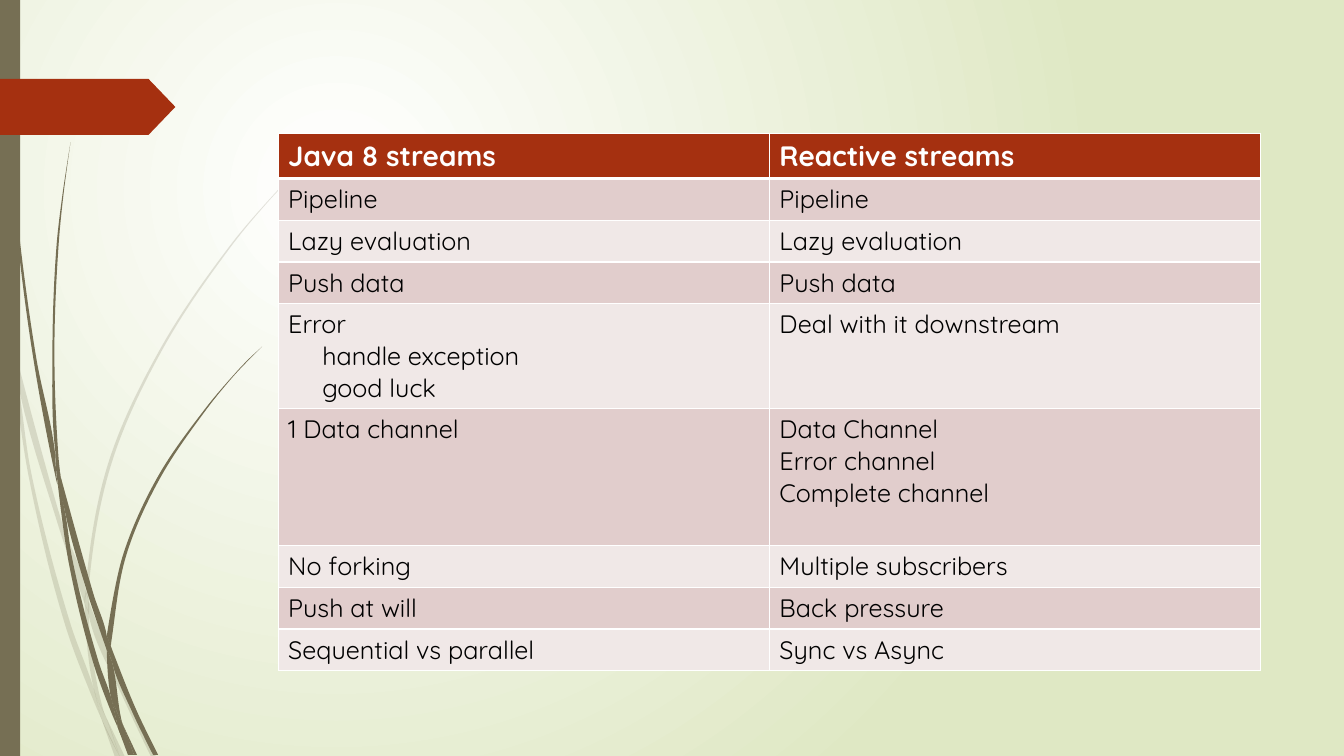
from math import dist, hypot

from pptx import Presentation
from pptx.dml.color import RGBColor
from pptx.enum.shapes import MSO_SHAPE as Preset
from pptx.oxml.ns import qn
from pptx.oxml.xmlchemy import OxmlElement as Element
from pptx.util import Cm, Pt

COLORS = {
    "centre": "FFFFFF", "edge": "DFE8C4", "grass": "766F54", "accent": "A53010",
    "odd": "E1CDCC", "even": "F0E8E7", "text": "000000", "light": "FFFFFF",
}
FONT = "Quicksand"
GRASS_UNIT = Cm(0.0254)
BLOCK_INDENT = Cm(0.86)
ROW_HEIGHT = Cm(1.04)

FAINT_GRASS = [
    [(11, 350), (9, 322), (0, 282), (0, 299), (10, 344)],
    [(58, 522), (84, 599), (85, 586), (62, 520), (14, 345), (17, 376)],
    [(92, 607), (88, 596), (88, 610), (123, 694), (150, 751), (155, 751), (127, 692)],
    [(119, 751), (124, 751), (105, 711)],
    [(93, 683), (70, 619), (31, 469), (17, 376), (11, 350), (28, 470), (65, 621),
     (92, 693), (101, 714), (99, 707)],
    [(84, 599), (87, 646), (93, 683), (96, 692), (105, 711), (103, 706), (91, 646),
     (88, 610), (88, 608)],
    [(88, 584), (110, 462), (160, 349), (229, 245), (268, 198), (290, 175), (312, 153),
     (289, 175), (268, 197), (228, 244), (158, 348), (107, 461), (85, 584), (85, 586),
     (88, 596)],
    [(101, 714), (114, 751), (119, 751)],
    [(88, 608), (88, 610), (88, 596), (85, 586), (84, 599)],
    [(96, 692), (93, 683), (99, 707), (101, 714), (119, 751), (105, 711)],
]
DARK_GRASS = [
    [(7, 110), (17, 233), (33, 355), (56, 477), (57, 481), (55, 457), (55, 453),
     (36, 355), (19, 232), (8, 109), (5, 48), (4, 0), (3, 0), (4, 48)],
    [(88, 592), (106, 645), (106, 631), (93, 590), (60, 472), (64, 505)],
    [(113, 649), (110, 641), (111, 656), (132, 708), (152, 749), (157, 749), (136, 706)],
    [(110, 691), (98, 657), (72, 556), (64, 505), (57, 477), (68, 557), (93, 659),
     (111, 708), (117, 722), (116, 717)],
    [(60, 472), (58, 453), (54, 349), (58, 245), (63, 193), (70, 141), (62, 193),
     (56, 245), (52, 349), (55, 449)],
    [(133, 749), (136, 749), (122, 719)],
    [(57, 477), (64, 505), (60, 472), (55, 449), (55, 453)],
    [(111, 633), (125, 552), (158, 476), (205, 406), (231, 374), (245, 359), (260, 344),
     (245, 358), (231, 373), (204, 405), (156, 474), (122, 551), (106, 631), (110, 641)],
    [(117, 722), (127, 749), (131, 749)],
    [(106, 645), (110, 691), (116, 706), (122, 719), (121, 716), (111, 656), (109, 651)],
    [(106, 645), (109, 651), (111, 656), (110, 641), (106, 631)],
    [(116, 706), (110, 691), (116, 717), (117, 722), (130, 749), (133, 749), (122, 719)],
]

HEADINGS = ["Java 8 streams", "Reactive streams"]
COMPARISON = [
    ("Pipeline", "Pipeline", ROW_HEIGHT),
    ("Lazy evaluation", "Lazy evaluation", ROW_HEIGHT),
    ("Push data", "Push data", ROW_HEIGHT),
    ("Error\n\thandle exception\n\tgood luck", "Deal with it downstream", Cm(2.64)),
    ("1 Data channel", "Data Channel\nError channel\nComplete channel", Cm(3.45)),
    ("No forking", "Multiple subscribers", ROW_HEIGHT),
    ("Push at will", "Back pressure", ROW_HEIGHT),
    ("Sequential vs parallel", "Sync vs Async", ROW_HEIGHT),
]


def rgb(name):
    return RGBColor.from_string(COLORS[name])


def paint(shape, color):
    shape.shadow.inherit = False
    shape.fill.solid()
    shape.fill.fore_color.rgb = rgb(color)
    shape.line.fill.background()


def paint_background(slide):
    fill = slide.background.fill
    fill.gradient()
    for stop, color in zip(fill.gradient_stops, ("centre", "edge")):
        stop.color.rgb = rgb(color)
    gradient = next(slide.element.iter(qn("a:gradFill")))
    gradient.remove(gradient.find(qn("a:lin")))
    glow = Element("a:path")
    glow.set("path", "circle")
    focus = Element("a:fillToRect")
    for side, share in (("l", 50000), ("t", 50000), ("r", 100000), ("b", 100000)):
        focus.set(side, str(share))
    glow.append(focus)
    gradient.find(qn("a:gsLst")).addnext(glow)


def direction(before, knot, after):
    arriving, leaving = (
        [(end - start) / dist(a, b) for start, end in zip(a, b)]
        for a, b in ((before, knot), (knot, after)))
    if sum(u * v for u, v in zip(arriving, leaving)) < 0.85:
        return 0, 0
    x, y = (u + v for u, v in zip(arriving, leaving))
    return x / hypot(x, y), y / hypot(x, y)


def bend_sides(blade, knots):
    left, top = (min(values) for values in zip(*knots))
    ends = knots[1:] + knots[:1]
    headings = [direction(*three) for three in zip(knots[-1:] + knots[:-1], knots, ends)]
    sides = list(blade.element.iter(qn("a:lnTo")))
    for side, start, end, leave, arrive in zip(
            sides, knots, ends, headings, headings[1:] + headings[:1]):
        reach = dist(start, end) / 3
        controls = ([p + reach * d for p, d in zip(start, leave)],
                    [p - reach * d for p, d in zip(end, arrive)], end)
        curve = Element("a:cubicBezTo")
        for x, y in controls:
            point = Element("a:pt")
            point.set("x", str(round(x - left)))
            point.set("y", str(round(y - top)))
            curve.append(point)
        side.getparent().replace(side, curve)


def add_grass(slide, blades, opacity):
    tuft = slide.shapes.add_group_shape()
    for outline in blades:
        knots = [(x * GRASS_UNIT, y * GRASS_UNIT) for x, y in outline]
        builder = tuft.shapes.build_freeform(*knots[0])
        builder.add_line_segments(knots[1:] + knots[:1], close=True)
        blade = builder.convert_to_shape()
        bend_sides(blade, knots)
        paint(blade, "grass")
        if opacity < 100:
            alpha = Element("a:alpha")
            alpha.set("val", str(opacity * 1000))
            blade.element.spPr.find(qn("a:solidFill"))[0].append(alpha)


def add_block(slide, preset, top, width, height, color):
    block = slide.shapes.add_shape(preset, 0, top, width, height)
    paint(block, color)
    return block


def set_border(cell, side, width):
    border = Element(f"a:ln{side}")
    border.set("w", str(width))
    solid = Element("a:solidFill")
    color = Element("a:srgbClr")
    color.set("val", COLORS["light"])
    solid.append(color)
    border.append(solid)
    cell._tc.get_or_add_tcPr().append(border)


def fill_cell(cell, text, row):
    heading = row == 0
    thick_sides = {0: "B", 1: "T"}
    for side in "LRTB":
        set_border(cell, side, Pt(3) if thick_sides.get(row) == side else Pt(1))
    cell.fill.solid()
    cell.fill.fore_color.rgb = rgb("accent" if heading else "odd" if row % 2 else "even")
    lines = text.split("\n")
    cell.text_frame.text = "\n".join(line.strip() for line in lines)
    for paragraph, line in zip(cell.text_frame.paragraphs, lines):
        if line.startswith("\t"):
            paragraph._p.get_or_add_pPr().set("marL", str(BLOCK_INDENT))
        font = paragraph.runs[0].font
        font.name = FONT
        font.size = Pt(20 if heading else 18)
        font.bold = heading
        font.color.rgb = rgb("light" if heading else "text")


def add_comparison(slide):
    rows = [(*HEADINGS, ROW_HEIGHT), *COMPARISON]
    height = sum(row[-1] for row in rows)
    table = slide.shapes.add_table(
        len(rows), len(HEADINGS), Cm(7.01), Cm(3.36), Cm(24.76), height).table
    table.horz_banding = False
    for index, (*texts, row_height) in enumerate(rows):
        table.rows[index].height = row_height
        for column, text in enumerate(texts):
            fill_cell(table.cell(index, column), text, index)


def main():
    deck = Presentation()
    deck.slide_width, deck.slide_height = Cm(33.87), Cm(19.05)
    slide = deck.slides.add_slide(deck.slide_layouts[6])
    paint_background(slide)
    add_grass(slide, FAINT_GRASS, 20)
    add_grass(slide, DARK_GRASS, 100)
    add_block(slide, Preset.RECTANGLE, 0, Cm(0.51), deck.slide_height, "grass")
    arrow = add_block(slide, Preset.PENTAGON, Cm(1.99), Cm(4.42), Cm(1.41), "accent")
    arrow.adjustments[0] = 0.48
    add_comparison(slide)
    deck.save("out.pptx")


if __name__ == "__main__":
    main()
